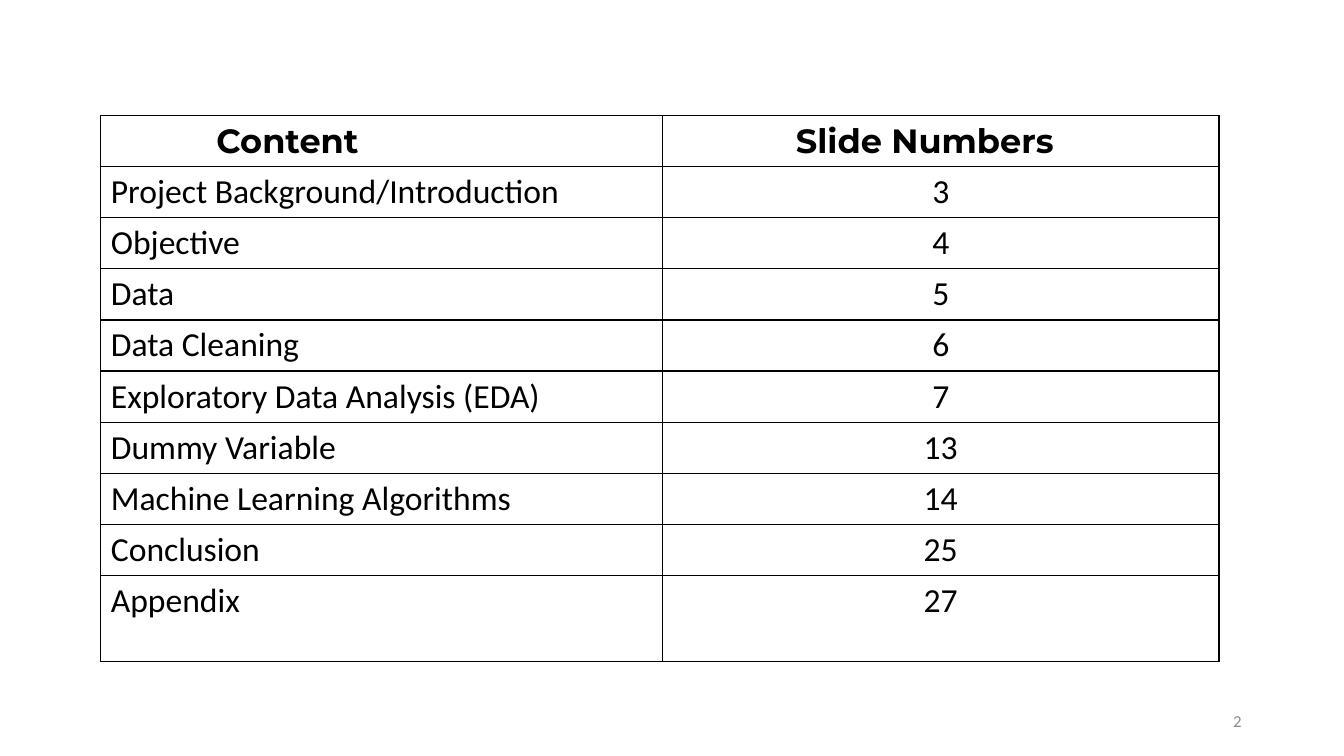
from lxml import etree
from pptx import Presentation
from pptx.dml.color import RGBColor
from pptx.enum.text import MSO_ANCHOR, PP_ALIGN
from pptx.oxml.ns import qn
from pptx.util import Pt

PX = 9525
LEFT, CENTER, RIGHT = PP_ALIGN.LEFT, PP_ALIGN.CENTER, PP_ALIGN.RIGHT
MIDDLE = MSO_ANCHOR.MIDDLE
COLORS = {"text": "000000", "border": "000000", "number": "8C8C8C"}
HEADERS = [("Content", 110), ("Slide Numbers", 127)]
CONTENTS = [
    ("Project Background/Introduction", 3),
    ("Objective", 4),
    ("Data", 5),
    ("Data Cleaning", 6),
    ("Exploratory Data Analysis (EDA)", 7),
    ("Dummy Variable", 13),
    ("Machine Learning Algorithms", 14),
    ("Conclusion", 25),
    ("Appendix", 27),
]


def px(n):
    """Turn pixels into EMU."""
    return n * PX


def add_text(tf, text, size, color, align=LEFT, font="Calibri", bold=False):
    """Write one formatted run into the first paragraph."""
    p = tf.paragraphs[0]
    p.alignment = align
    r = p.add_run()
    r.text = text
    r.font.name, r.font.size, r.font.bold = font, Pt(size), bold
    r.font.color.rgb = RGBColor.from_string(COLORS[color])


def style_cell(cell):
    """Give a cell thin borders on all sides and no fill."""
    tcPr = cell._tc.get_or_add_tcPr()
    for side in ("lnL", "lnR", "lnT", "lnB"):
        ln = etree.SubElement(tcPr, qn(f"a:{side}"), w=str(Pt(1)))
        fill = etree.SubElement(ln, qn("a:solidFill"))
        etree.SubElement(fill, qn("a:srgbClr"), val=COLORS["border"])
    cell.fill.background()


def add_contents_table(s, x, y, w, h):
    """Place the contents table, with a taller last row, in the box."""
    rows = len(CONTENTS) + 1
    table = s.shapes.add_table(rows, 2, px(x), px(y), px(w), px(h)).table
    table.first_row = table.horz_banding = False
    row_h, first_w = 48, 535
    for col, width in zip(table.columns, (first_w, w - first_w)):
        col.width = px(width)
    for row in table.rows:
        row.height = px(row_h)
    table.rows[rows - 1].height = px(h - row_h * (rows - 1))
    for cell in table.iter_cells():
        style_cell(cell)
    for c, (text, margin) in enumerate(HEADERS):
        cell = table.cell(0, c)
        cell.margin_left = px(margin)
        add_text(cell.text_frame, text, 24, "text", font="Montserrat", bold=True)
    for i, (topic, number) in enumerate(CONTENTS, 1):
        add_text(table.cell(i, 0).text_frame, topic, 24, "text")
        add_text(table.cell(i, 1).text_frame, str(number), 24, "text", CENTER)


def add_slide_number(s, x, y, w, h):
    """Place the slide number at the right of the box."""
    tf = s.shapes.add_textbox(px(x), px(y), px(w), px(h)).text_frame
    tf.word_wrap = True
    tf.vertical_anchor = MIDDLE
    add_text(tf, "2", 12, "number", RIGHT)


def main():
    """Build and save the contents slide."""
    prs = Presentation()
    prs.slide_width, prs.slide_height = px(1280), px(720)
    s = prs.slides.add_slide(prs.slide_layouts[6])
    add_contents_table(s, 96, 110, 1065, 514)
    add_slide_number(s, 904, 667, 288, 38)
    prs.save("out.pptx")


if __name__ == "__main__":
    main()
